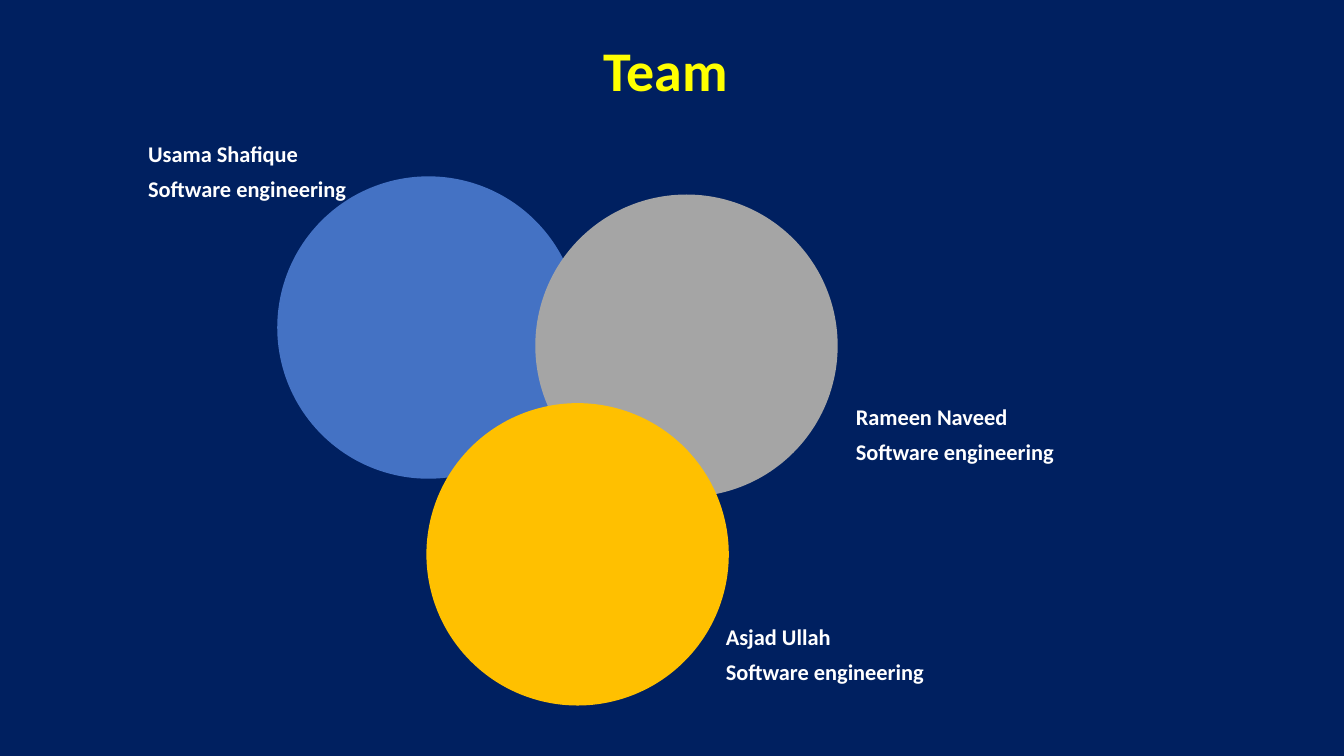
from pptx import Presentation, util as u
from pptx.dml.color import RGBColor
from pptx.enum import shapes, text

COLORS = {
    "navy": "002060", "yellow": "FFFF00", "white": "FFFFFF",
    "blue": "4472C4", "gray": "A5A5A5", "gold": "FFC000",
}


class TeamSlide:
    """Places elements by percent of the slide's width and height."""

    font = "Calibri"

    def __init__(self, deck, background):
        self.deck = deck
        self.slide = deck.slides.add_slide(deck.slide_layouts[6])
        fill = self.slide.background.fill
        fill.solid()
        fill.fore_color.rgb = self.color(background)

    def color(self, name):
        return RGBColor.from_string(COLORS[name])

    def box(self, left, top, width, height):
        across, down = self.deck.slide_width / 100, self.deck.slide_height / 100
        return [round(n) for n in (left * across, top * down, width * across, height * down)]

    def circle(self, left, top, color):
        disc = self.slide.shapes.add_shape(
            shapes.MSO_SHAPE.OVAL, *self.box(left, top, 22.5, 40))
        disc.shadow.inherit = False
        disc.fill.solid()
        disc.fill.fore_color.rgb = self.color(color)
        disc.line.fill.background()

    def label(self, area, lines, size, color, spacing, before=0, inset=0.05,
              align=text.PP_ALIGN.LEFT, anchor=text.MSO_ANCHOR.TOP,
              fit=text.MSO_AUTO_SIZE.SHAPE_TO_FIT_TEXT):
        frame = self.slide.shapes.add_textbox(*self.box(*area)).text_frame
        frame.word_wrap = True
        frame.auto_size = fit
        frame.vertical_anchor = anchor
        frame.margin_left = frame.margin_right = u.Inches(inset)
        frame.margin_top = frame.margin_bottom = u.Inches(0.05)
        frame.text = "\n".join(lines)
        for line in frame.paragraphs:
            line.alignment = align
            line.line_spacing = spacing
            line.space_before = u.Pt(before)
            line.font.name = self.font
            line.font.size = u.Pt(size)
            line.font.bold = True
            line.font.color.rgb = self.color(color)

    def title(self, words):
        self.label((6.88, 0, 86.25, 19.33), [words], 40, "yellow", 0.9, inset=0.1,
                   align=text.PP_ALIGN.CENTER, anchor=text.MSO_ANCHOR.MIDDLE,
                   fit=text.MSO_AUTO_SIZE.NONE)

    def member(self, area, name, field):
        self.label(area, [name, field], 16, "white", 0.8, before=10)


def main():
    deck = Presentation()
    deck.slide_width, deck.slide_height = u.Inches(13.33), u.Inches(7.5)
    team = TeamSlide(deck, "navy")
    team.title("Team ")

    # Overlapping circles, back to front
    for left, top, color in ((20.63, 23.33, "blue"),
                             (39.83, 25.73, "gray"),
                             (31.73, 53.33, "gold")):
        team.circle(left, top, color)

    # Team members beside their circles
    members = {
        "Usama Shafique": (10.65, 18.53, 17.55, 8.93),
        "Asjad Ullah": (53.63, 82.4, 16.65, 13.73),
        "Rameen Naveed": (63.3, 53.33, 25.05, 13.73),
    }
    for name, area in members.items():
        team.member(area, name, "Software engineering")

    deck.save("out.pptx")


if __name__ == "__main__":
    main()
